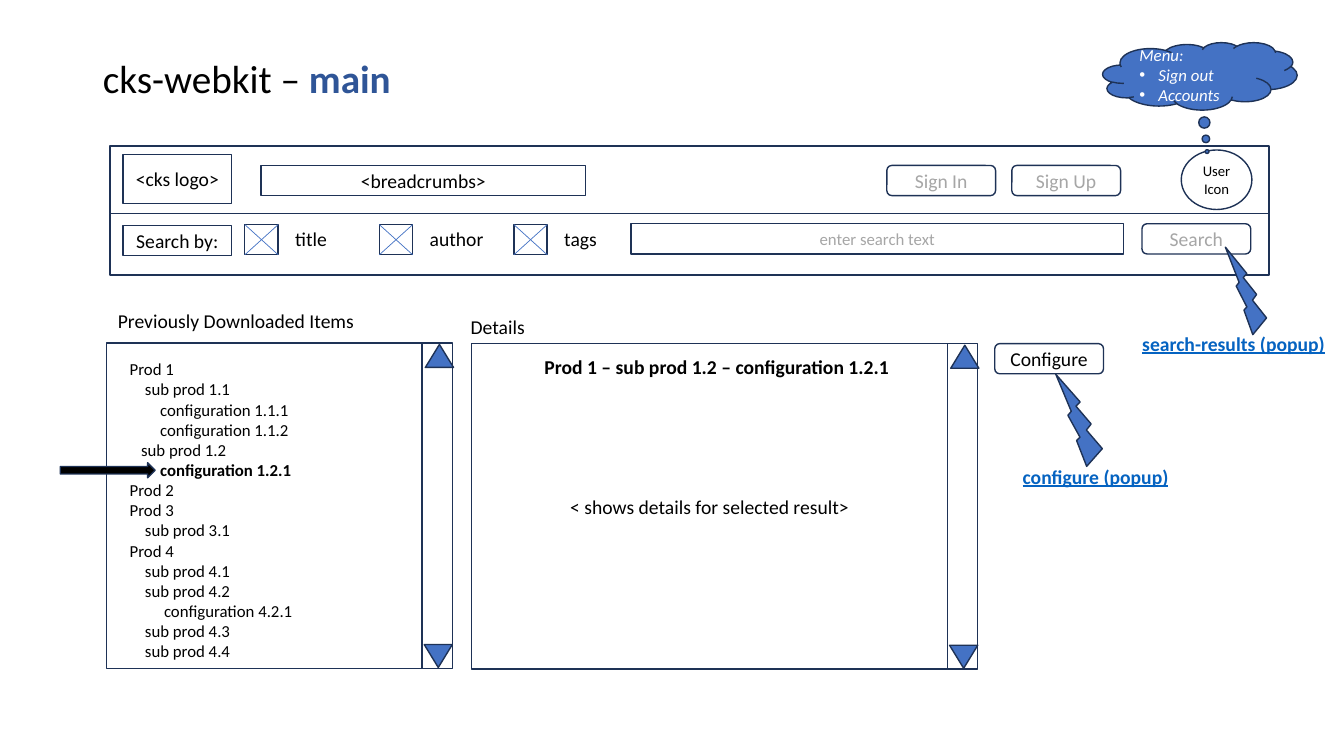
import dataclasses

import pptx
import pptx.dml.color
import pptx.enum.shapes
import pptx.enum.text
import pptx.oxml
import pptx.oxml.ns
import pptx.util

Cm = pptx.util.Cm
Pt = pptx.util.Pt
Kind = pptx.enum.shapes.MSO_SHAPE
Align = pptx.enum.text.PP_ALIGN
Anchor = pptx.enum.text.MSO_ANCHOR


@dataclasses.dataclass(frozen=True)
class Theme:
    font: str = "Calibri"
    black: str = "000000"
    white: str = "FFFFFF"
    outline: str = "1E3256"
    accent: str = "4472C4"
    heading: str = "2F5597"
    muted: str = "A6A6A6"
    link: str = "0563C1"
    title_size: float = 28
    label_size: float = 14
    small_size: float = 12
    icon_size: float = 10.5
    outline_width: float = 1
    cross_width: float = 0.5


THEME = Theme()
BUTTON_WIDTH = 2.74
ROW_HEIGHT = 0.76
SPACE_WIDTH = 0.096

PRODUCT_TREE = [
    (0, "Prod 1"),
    (4, "sub prod 1.1"),
    (8, "configuration 1.1.1"),
    (8, "configuration 1.1.2"),
    (3, "sub prod 1.2"),
    (8, "configuration 1.2.1"),
    (0, "Prod 2"),
    (0, "Prod 3"),
    (4, "sub prod 3.1"),
    (0, "Prod 4"),
    (4, "sub prod 4.1"),
    (4, "sub prod 4.2"),
    (9, "configuration 4.2.1"),
    (4, "sub prod 4.3"),
    (4, "sub prod 4.4"),
]
SELECTED_ITEM = "configuration 1.2.1"


def rgb(color):
    return pptx.dml.color.RGBColor.from_string(color)


def add_text(para, text, *, size=THEME.label_size, color=THEME.black,
             bold=False, italic=False, underline=False, align=Align.CENTER):
    para.alignment = align
    span = para.add_run()
    span.text = text
    font = span.font
    font.name = THEME.font
    font.size = Pt(size)
    font.color.rgb = rgb(color)
    font.bold = bold
    font.italic = italic
    font.underline = underline


def next_para(frame, index):
    return frame.paragraphs[0] if index == 0 else frame.add_paragraph()


def add_shape(page, kind, left, top, width, height, *, text="",
              fill=THEME.white, line=THEME.outline, **text_format):
    box = page.shapes.add_shape(kind, Cm(left), Cm(top), Cm(width), Cm(height))
    box.shadow.inherit = False
    box.fill.solid()
    box.fill.fore_color.rgb = rgb(fill)
    if line:
        box.line.color.rgb = rgb(line)
        box.line.width = Pt(THEME.outline_width)
    else:
        box.line.fill.background()
    frame = box.text_frame
    frame.vertical_anchor = Anchor.MIDDLE
    if text:
        for index, row in enumerate(text.split("\n")):
            add_text(next_para(frame, index), row, **text_format)
    return box


def add_label(page, text, left, top, width, height=ROW_HEIGHT):
    add_shape(page, Kind.RECTANGLE, left, top, width, height, text=text,
              line=None, align=Align.LEFT)


def add_button(page, text, left, top, color=THEME.muted):
    add_shape(page, Kind.ROUNDED_RECTANGLE, left, top, BUTTON_WIDTH, ROW_HEIGHT,
              text=text, color=color)


def add_text_box(page, left, top, width, height):
    box = page.shapes.add_textbox(Cm(left), Cm(top), Cm(width), Cm(height))
    box.text_frame.word_wrap = True
    return box.text_frame


def add_popup_name(page, text, left, top, width):
    frame = add_text_box(page, left, top, width, 0.86)
    add_text(frame.paragraphs[0], text, color=THEME.link, bold=True, underline=True)


def add_bolt(page, left, top, width, height):
    bolt = add_shape(page, Kind.LIGHTNING_BOLT, left, top, width, height,
                     fill=THEME.accent)
    bolt.rotation = 176.9


def add_cross_line(page, left, top, right, bottom):
    line = page.shapes.add_connector(pptx.enum.shapes.MSO_CONNECTOR.STRAIGHT,
                                     Cm(left), Cm(top), Cm(right), Cm(bottom))
    line.line.color.rgb = rgb(THEME.accent)
    line.line.width = Pt(THEME.cross_width)
    properties = line._element.spPr
    properties.append(pptx.oxml.parse_xml(
        "<a:effectLst %s/>" % pptx.oxml.ns.nsdecls("a")))


def add_checkbox(page, text, left, top):
    width = 0.84
    right, bottom = left + width, top + ROW_HEIGHT
    add_label(page, text, left + 1.02, top - 0.02, 2.18)
    add_shape(page, Kind.RECTANGLE, left, top, width, ROW_HEIGHT)
    add_cross_line(page, left, top, right, bottom)
    add_cross_line(page, right, top, left, bottom)


def add_scrollbar(page, left, top):
    add_shape(page, Kind.RECTANGLE, left, top, 0.76, 8.2)
    for right_shift, down_shift, rotation in ((0.08, 0.04, 0), (0.05, 7.6, 180)):
        arrow = add_shape(page, Kind.ISOSCELES_TRIANGLE, left + right_shift,
                          top + down_shift, 0.71, 0.58, fill=THEME.accent)
        arrow.rotation = rotation


def add_product_tree(page):
    frame = add_text_box(page, 3.02, 8.92, 7.09, 7.95)
    for index, (spaces, name) in enumerate(PRODUCT_TREE):
        para = next_para(frame, index)
        para._p.get_or_add_pPr().set("marL", str(Cm(spaces * SPACE_WIDTH)))
        add_text(para, name, size=THEME.small_size, align=Align.LEFT,
                 bold=name == SELECTED_ITEM)


def add_user_menu(page):
    cloud = add_shape(page, Kind.CLOUD_CALLOUT, 27.79, 1.07, 4.9, 1.7,
                      text="Menu:\nSign out\nAccounts", fill=THEME.accent,
                      size=THEME.small_size, color=THEME.white, italic=True,
                      align=Align.LEFT)
    cloud.adjustments[0] = 0.037
    cloud.adjustments[1] = 1.118
    for para in cloud.text_frame.paragraphs[1:]:
        properties = para._p.get_or_add_pPr()
        properties.set("marL", str(Cm(0.48)))
        properties.set("indent", str(Cm(-0.48)))
        for tag, value in (('buFont', 'typeface="Arial"'), ('buChar', 'char="•"')):
            properties.append(pptx.oxml.parse_xml(
                "<a:%s %s %s/>" % (tag, pptx.oxml.ns.nsdecls("a"), value)))


def set_title(page):
    title = page.shapes.title
    title.left, title.top = Cm(2.34), Cm(1.02)
    title.width, title.height = Cm(29.21), Cm(2.03)
    title.text_frame.vertical_anchor = Anchor.MIDDLE
    para = title.text_frame.paragraphs[0]
    para.line_spacing = 0.9
    add_text(para, "cks-webkit – ", size=THEME.title_size, align=Align.LEFT)
    add_text(para, "main", size=THEME.title_size, color=THEME.heading, bold=True,
             align=Align.LEFT)


def add_header(page):
    add_shape(page, Kind.RECTANGLE, 2.77, 3.68, 29.21, 1.7)
    add_shape(page, Kind.RECTANGLE, 3.1, 3.89, BUTTON_WIDTH, 1.24, text="<cks logo>")
    add_shape(page, Kind.RECTANGLE, 6.58, 4.17, 8.18, ROW_HEIGHT, text="<breadcrumbs>")
    add_button(page, "Sign In", 22.35, 4.17)
    add_button(page, "Sign Up", 25.5, 4.17)


def add_search_row(page):
    add_shape(page, Kind.RECTANGLE, 2.77, 5.38, 29.21, 1.55)
    add_shape(page, Kind.RECTANGLE, 3.1, 5.68, BUTTON_WIDTH, ROW_HEIGHT, text="Search by:")
    for index, field in enumerate(("title", "author", "tags")):
        add_checkbox(page, field, 6.17 + 3.39 * index, 5.66)
    add_shape(page, Kind.RECTANGLE, 15.9, 5.64, 12.42, ROW_HEIGHT,
              text="enter search text", size=THEME.small_size, color=THEME.muted)
    add_button(page, "Search", 28.78, 5.64)
    add_bolt(page, 30.94, 6.2, 0.94, 2.24)
    add_popup_name(page, "search-results (popup)", 28.32, 8.23, 5.54)


def add_downloads(page):
    add_shape(page, Kind.RECTANGLE, 2.69, 8.64, 7.95, 8.2)
    add_label(page, "Previously Downloaded Items", 2.72, 7.62, 6.48, 0.91)
    add_product_tree(page)
    add_scrollbar(page, 10.64, 8.64)


def add_details(page):
    add_shape(page, Kind.RECTANGLE, 11.89, 8.66, 11.99, 8.2,
              text="< shows details for selected result>")
    add_scrollbar(page, 23.88, 8.66)
    add_label(page, "Details", 11.61, 7.85, 4.52)
    add_shape(page, Kind.RECTANGLE, 13.06, 8.86, 10.01, ROW_HEIGHT, line=None,
              text="Prod 1 – sub prod 1.2 – configuration 1.2.1", bold=True)
    add_button(page, "Configure", 25.07, 8.66, THEME.black)
    add_bolt(page, 26.67, 9.4, 1.07, 2.36)
    add_popup_name(page, "configure (popup)", 24.64, 11.58, 5.94)


def main():
    deck = pptx.Presentation()
    deck.slide_width, deck.slide_height = Cm(33.87), Cm(19.05)
    page = deck.slides.add_slide(deck.slide_layouts[5])
    set_title(page)
    add_header(page)
    add_search_row(page)
    add_downloads(page)
    add_details(page)
    add_shape(page, Kind.OVAL, 29.77, 3.78, 1.78, 1.5, text="User\nIcon",
              size=THEME.icon_size)
    add_user_menu(page)
    add_shape(page, Kind.RIGHT_ARROW, 1.52, 11.66, 2.39, 0.38, fill=THEME.black)
    deck.save("out.pptx")


if __name__ == "__main__":
    main()
